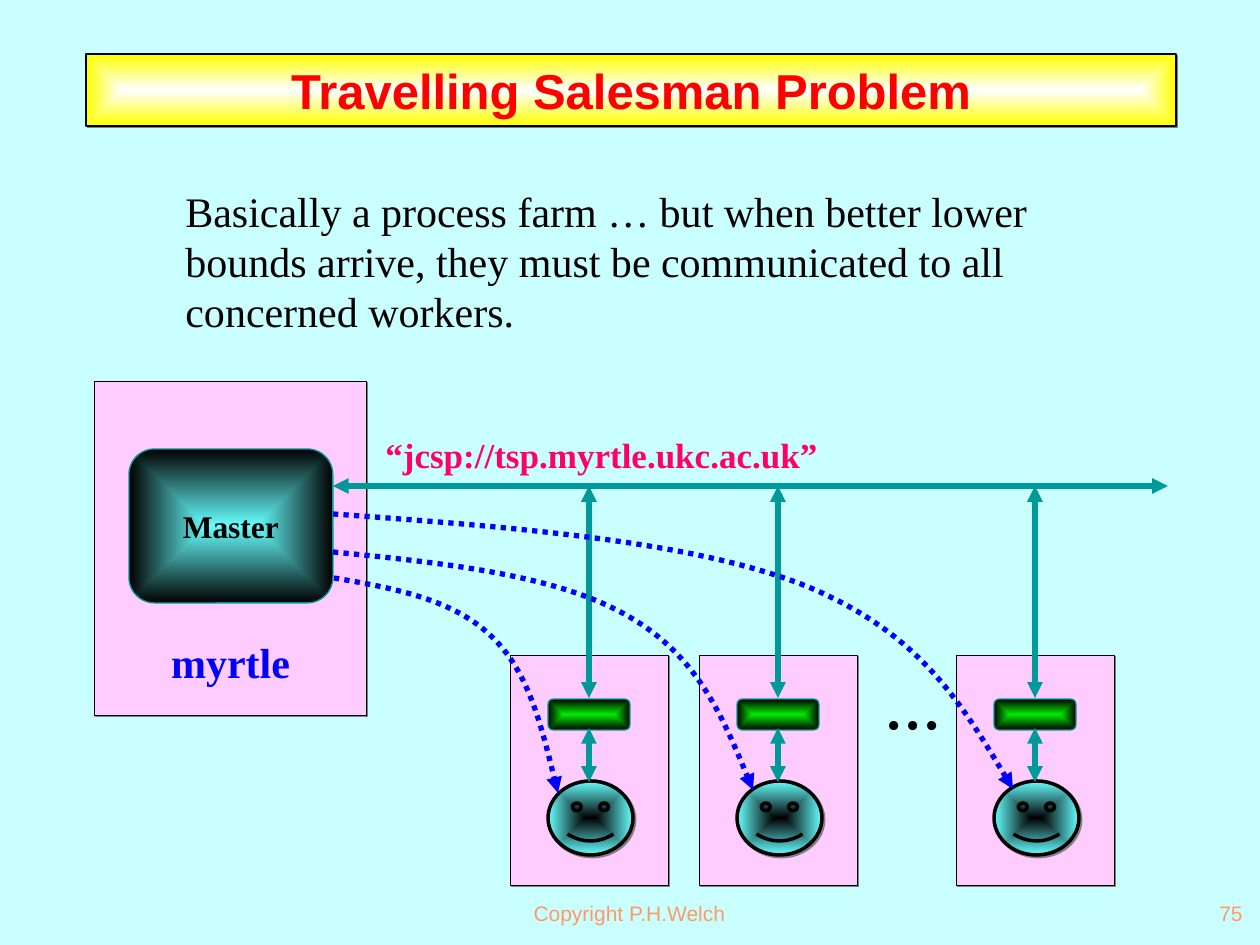
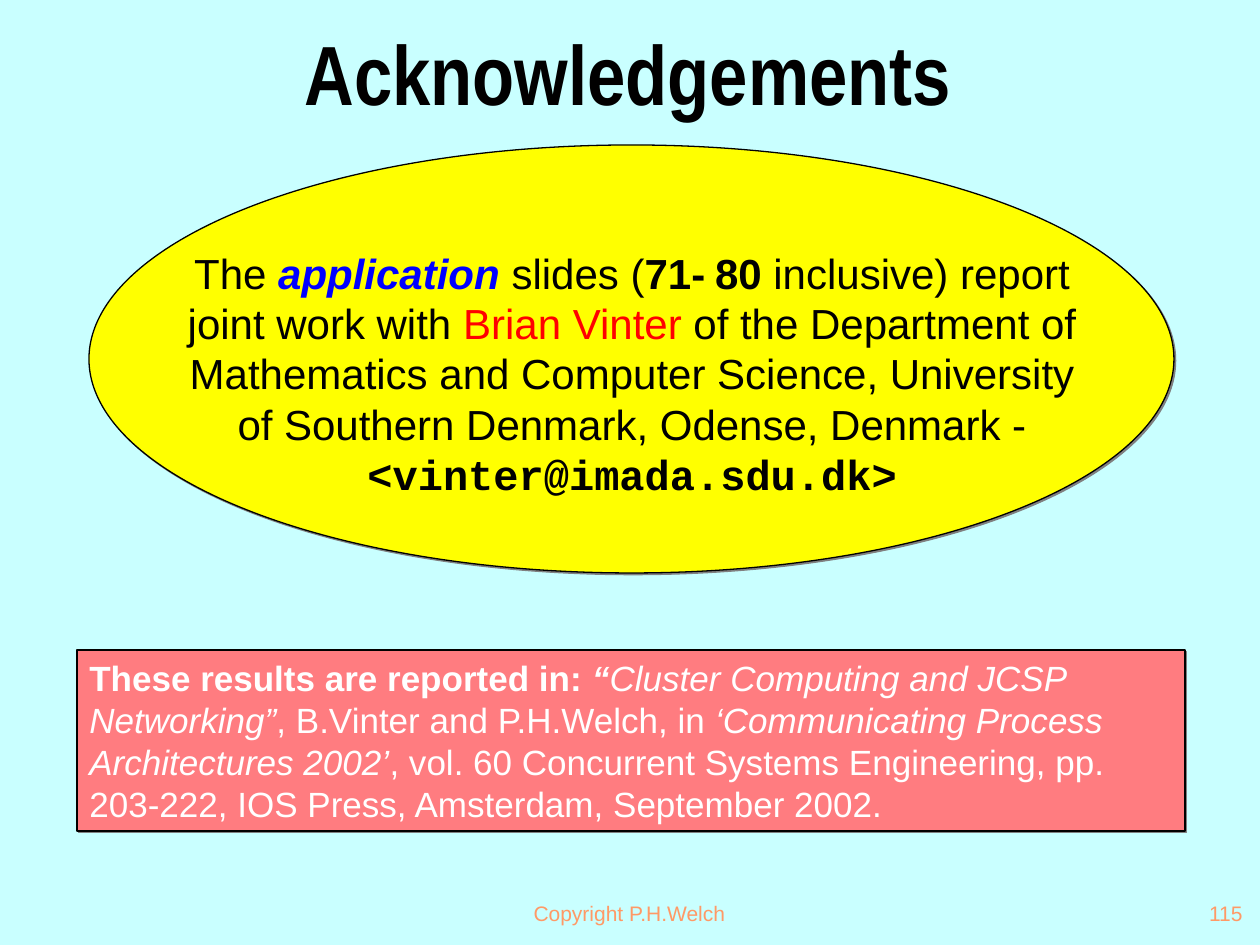
"""Build two slides: a process farm diagram and the acknowledgements."""
from lxml import etree
from pptx import Presentation
from pptx.dml import color
from pptx.enum import dml, shapes, text
from pptx.oxml import parse_xml
from pptx.oxml.ns import nsdecls, qn
from pptx.util import Emu, Pt

PX = 914400 / 126
SERIF, SANS, NARROW, MONO = "Times New Roman", "Arial", "Arial Narrow", "Courier New"
BLACK, WHITE, BLUE, RED, YELLOW = "010000", "FFFFFF", "0000FF", "FF0000", "FFFF00"
PALE, PINK, CORAL, ORANGE, MAGENTA = "C9FFFF", "FFCCFF", "FF7C80", "FF9966", "FF0066"
TEAL, CYAN, GREEN = "009999", "66FFFF", "00EA00"
LEFT, CENTER, RIGHT = text.PP_ALIGN.LEFT, text.PP_ALIGN.CENTER, text.PP_ALIGN.RIGHT
TOP, MIDDLE = text.MSO_ANCHOR.TOP, text.MSO_ANCHOR.MIDDLE
SHADOW = (
    f'<a:effectLst {nsdecls("a")}><a:outerShdw dist="17780" dir="2700000">'
    '<a:srgbClr val="808080"/></a:outerShdw></a:effectLst>'
)


def emu(*lengths):
    """Turn px lengths into EMU."""
    return [Emu(round(length * PX)) for length in lengths]


def rgb(value):
    """Turn a hex string into a colour."""
    return color.RGBColor.from_string(value)


def set_shadow(shape, shadow):
    """Remove the theme shadow and add a grey offset one if wanted."""
    properties = shape._element.spPr
    for effects in properties.findall(qn("a:effectLst")):
        properties.remove(effects)
    properties.append(parse_xml(SHADOW if shadow else f'<a:effectLst {nsdecls("a")}/>'))


def write(shape, runs, size, font, ink, align=LEFT, anchor=TOP, wrap=True, bold=False):
    """Fill a shape's text frame with one paragraph of (text, changes) runs."""
    frame = shape.text_frame
    frame.word_wrap = wrap
    frame.vertical_anchor = anchor
    paragraph = frame.paragraphs[0]
    paragraph.alignment = align
    for words, changes in runs:
        run = paragraph.add_run()
        run.text = words
        run.font.size = Pt(changes.get("size", size))
        run.font.name = changes.get("font", font)
        run.font.color.rgb = rgb(changes.get("ink", ink))
        run.font.bold = changes.get("bold", bold)
        run.font.italic = changes.get("italic", False)
    return paragraph


def add_text(slide, box, words, *style, **options):
    """Add a text box holding a plain string or a list of runs."""
    shape = slide.shapes.add_textbox(*emu(*box))
    runs = [(words, {})] if isinstance(words, str) else words
    return write(shape, runs, *style, **options)


def add_panel(slide, kind, box, fill, line=BLACK, width=0.75, shadow=True):
    """Add a preset shape with a solid fill or a (centre, edge) gradient."""
    shape = slide.shapes.add_shape(kind, *emu(*box))
    if isinstance(fill, str):
        shape.fill.solid()
        shape.fill.fore_color.rgb = rgb(fill)
    else:
        shape.fill.gradient()
        for stop, value, position in zip(shape.fill.gradient_stops, fill, (0, 1)):
            stop.color.rgb = rgb(value)
            stop.position = position
        gradient = shape._element.spPr.find(qn("a:gradFill"))
        gradient.remove(gradient.find(qn("a:lin")))
        path = etree.SubElement(gradient, qn("a:path"), path="rect")
        etree.SubElement(path, qn("a:fillToRect"), dict.fromkeys("ltrb", "50000"))
    shape.line.color.rgb = rgb(line)
    shape.line.width = Pt(width)
    set_shadow(shape, shadow)
    return shape


def style_arrow(shape, ink, ends):
    """Give a line its colour, width and arrowheads."""
    shape.line.color.rgb = rgb(ink)
    shape.line.width = Pt(3)
    set_shadow(shape, False)
    for end in ends:
        etree.SubElement(shape.line._get_or_add_ln(), qn(f"a:{end}"), type="triangle")


def add_channel(slide, *ends):
    """Add a straight two-headed channel."""
    connector = slide.shapes.add_connector(shapes.MSO_CONNECTOR.STRAIGHT, *emu(*ends))
    style_arrow(connector, TEAL, ("headEnd", "tailEnd"))


def add_broadcast(slide, start, *points):
    """Add a dotted curved arrow through cubic control points."""
    builder = slide.shapes.build_freeform(*start, scale=PX)
    builder.add_line_segments(points, close=False)
    curve = builder.convert_to_shape()
    curve.fill.background()
    curve.line.dash_style = dml.MSO_LINE.ROUND_DOT
    style_arrow(curve, BLUE, ("tailEnd",))
    outline = next(curve._element.iter(qn("a:path")))
    segments = outline.findall(qn("a:lnTo"))
    for index, segment in enumerate(segments):
        if index % 3 == 0:
            bezier = etree.SubElement(outline, qn("a:cubicBezTo"))
        bezier.append(segment[0])
        outline.remove(segment)


def add_master(slide, left, top):
    """Draw the host machine and its master process."""
    add_panel(slide, shapes.MSO_SHAPE.RECTANGLE, (left, top, 272, 334), PINK, width=0.25)
    add_text(slide, (left + 29, top + 249, 215, 63), "myrtle", 24, SERIF, BLUE,
             align=CENTER, bold=True)
    process = add_panel(slide, shapes.MSO_SHAPE.ROUNDED_RECTANGLE,
                        (left + 35, top + 68, 204, 154), (CYAN, BLACK), TEAL, shadow=False)
    write(process, [("Master", {})], 18, SERIF, BLACK, CENTER, MIDDLE, bold=True)


def add_worker(slide, left, top, bus):
    """Draw a worker machine and its channel up to the bus."""
    add_panel(slide, shapes.MSO_SHAPE.RECTANGLE, (left, top, 158, 230), PINK, width=0.25)
    add_panel(slide, shapes.MSO_SHAPE.SMILEY_FACE, (left + 38, top + 126, 85, 74),
              (BLACK, CYAN), width=2).adjustments[0] = 0.09
    add_panel(slide, shapes.MSO_SHAPE.ROUNDED_RECTANGLE, (left + 38, top + 44, 82, 31),
              (GREEN, BLACK), TEAL, shadow=False)
    middle = left + 79
    add_channel(slide, middle, bus, middle, top + 43)
    add_channel(slide, middle, top + 73, middle, top + 127)


def add_footer(slide, number):
    """Add the copyright line and the slide number."""
    for box, words, align in (((430, 882, 399, 63), "Copyright P.H.Welch", CENTER),
                              ((993, 882, 262, 63), number, RIGHT)):
        add_text(slide, box, words, 12, SANS, ORANGE, align=align, anchor=MIDDLE)


def add_slide(presentation, number):
    """Add a blank slide with the shared background and footer."""
    slide = presentation.slides.add_slide(presentation.slide_layouts[6])
    slide.background.fill.solid()
    slide.background.fill.fore_color.rgb = rgb(PALE)
    add_footer(slide, number)
    return slide


def build_salesman(presentation):
    """Build the process farm slide."""
    slide = add_slide(presentation, "75")
    banner = add_panel(slide, shapes.MSO_SHAPE.RECTANGLE, (86, 54, 1090, 72), (WHITE, YELLOW))
    write(banner, [("Travelling Salesman Problem", {})], 28, SANS, RED, CENTER, bold=True)
    add_text(slide, (173, 179, 964, 164),
             "Basically a process farm … but when better lower bounds arrive, "
             "they must be communicated to all concerned workers.", 24, SERIF, BLACK)
    bus = 486
    add_master(slide, 94, 381)
    for left in (510, 699, 956):
        add_worker(slide, left, 655, bus)
    add_channel(slide, 333, bus, 1168, bus)
    add_text(slide, (373, 427, 558, 54), "“jcsp://tsp.myrtle.ukc.ac.uk”", 20, SERIF, MAGENTA,
             bold=True)
    add_text(slide, (872, 646, 83, 106), "...", 44, SERIF, BLACK, wrap=False)
    add_broadcast(slide, (334, 578), (393, 588), (452, 599), (490, 635),
                  (528, 670), (543, 732), (558, 793))
    add_broadcast(slide, (333, 552), (444, 563), (556, 575), (626, 615),
                  (696, 654), (725, 722), (753, 790))
    add_broadcast(slide, (333, 514), (513, 527), (693, 541), (806, 586),
                  (920, 633), (966, 711), (1013, 789))


def build_acknowledgements(presentation):
    """Build the acknowledgements slide."""
    slide = add_slide(presentation, "115")
    title = add_text(slide, (30, 24, 1196, 121), "Acknowledgements", 48, NARROW, BLACK,
                     align=CENTER, anchor=MIDDLE, bold=True)
    title.line_spacing = 0.7
    fill = title.runs[0].font._element.find(qn("a:solidFill"))
    fill.addnext(parse_xml(SHADOW))

    add_panel(slide, shapes.MSO_SHAPE.OVAL, (89, 145, 1085, 428), YELLOW)
    strong, slanted = {"bold": True}, {"italic": True}
    credit = [
        ("The ", {}),
        ("application", {"ink": BLUE, "bold": True, "italic": True}),
        (" slides (", {}),
        ("71-", strong),
        (" ", {"bold": True, "size": 20}),
        ("80", strong),
        (" inclusive) report joint work with ", {}),
        ("Brian Vinter", {"ink": RED}),
        (" of the Department of Mathematics and Computer Science, University of "
         "Southern Denmark, Odense, Denmark - ", {}),
        ("<vinter@imada.sdu.dk>", {"font": MONO, "bold": True}),
    ]
    add_text(slide, (164, 241, 936, 265), credit, 24, SANS, BLACK, align=CENTER)

    citation = [
        ("These results are reported in: ", strong),
        ("“", {"bold": True, "italic": True}),
        ("Cluster Computing and JCSP Networking”", slanted),
        (", B.Vinter and P.H.Welch, in ", {}),
        ("‘Communicating Process Architectures 2002’", slanted),
        (", vol. 60 Concurrent Systems Engineering, pp. 203-222, IOS Press, Amsterdam, "
         "September 2002.", {}),
    ]
    reference = add_panel(slide, shapes.MSO_SHAPE.RECTANGLE, (77, 650, 1108, 181), CORAL)
    write(reference, citation, 20, SANS, WHITE)


def main():
    """Build and save the presentation."""
    presentation = Presentation()
    presentation.slide_width, presentation.slide_height = emu(1260, 945)
    build_salesman(presentation)
    build_acknowledgements(presentation)
    presentation.save("out.pptx")


if __name__ == "__main__":
    main()
